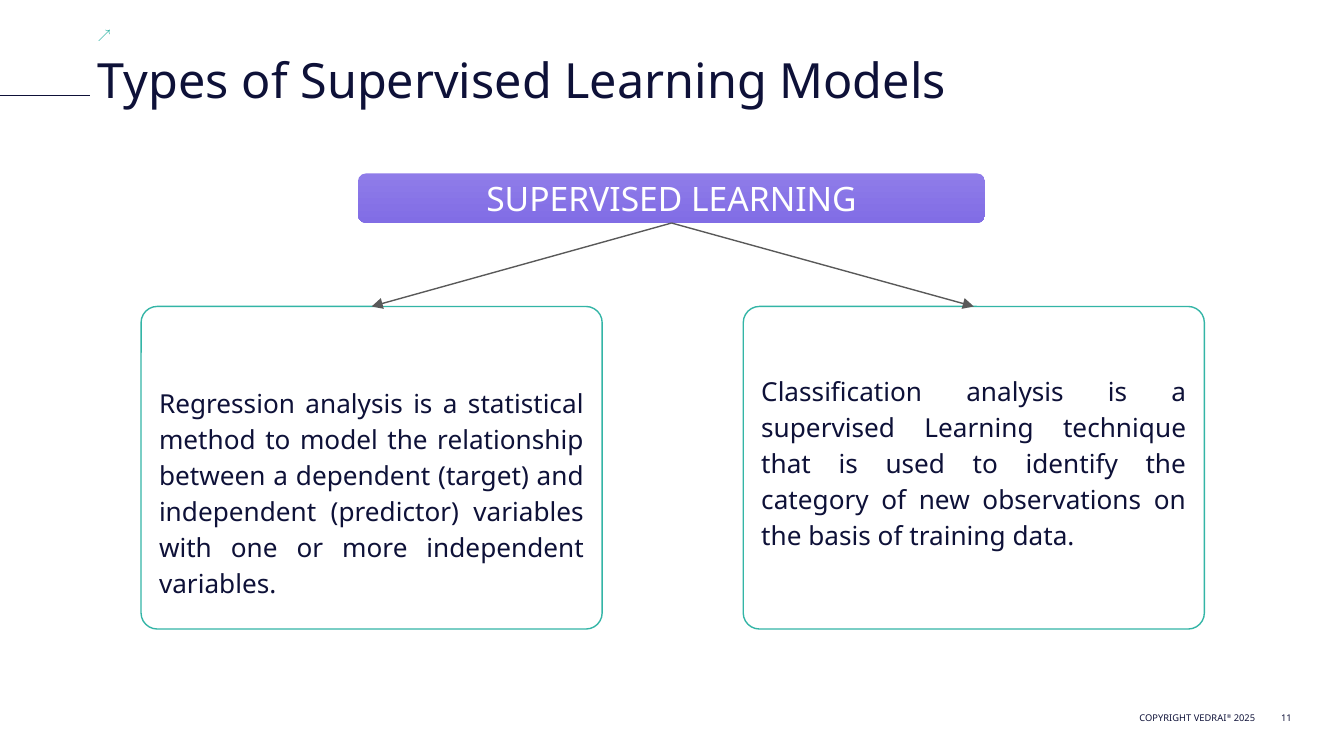
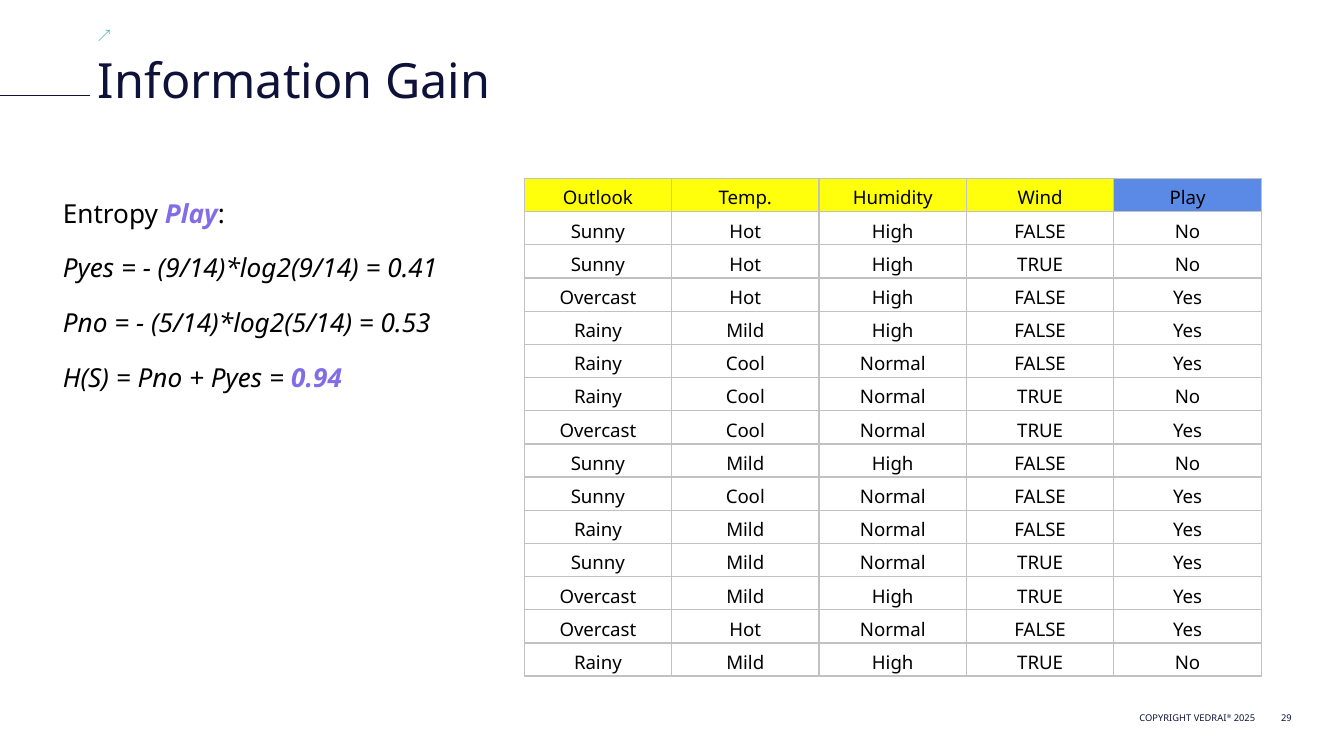
from lxml import etree
from pptx import Presentation
from pptx.dml.color import RGBColor
from pptx.enum.shapes import MSO_CONNECTOR, MSO_SHAPE
from pptx.enum.text import MSO_ANCHOR, PP_ALIGN
from pptx.oxml.ns import qn
from pptx.util import Pt

STRAIGHT = MSO_CONNECTOR.STRAIGHT
ROUNDED = MSO_SHAPE.ROUNDED_RECTANGLE
TOP, MIDDLE, BOTTOM = MSO_ANCHOR.TOP, MSO_ANCHOR.MIDDLE, MSO_ANCHOR.BOTTOM
LEFT, CENTER, RIGHT, JUSTIFY = PP_ALIGN.LEFT, PP_ALIGN.CENTER, PP_ALIGN.RIGHT, PP_ALIGN.JUSTIFY
TOP_SIDE, BOTTOM_SIDE = 0, 2

FONT = "Noto Sans"
COLORS = {
    "navy": "0E1138", "teal": "00A491", "outline": "33B5A6", "purple": "826DE6",
    "banner_top": "8F7CE9", "banner_bottom": "816DE5", "white": "FFFFFF",
    "black": "000000", "arrow": "595959", "grid": "C1C1C1",
    "feature": "FFFF0B", "target": "5B89E6",
}
SPACING = 1.15

WEATHER = """
Outlook Temp. Humidity Wind Play
Sunny Hot High FALSE No
Sunny Hot High TRUE No
Overcast Hot High FALSE Yes
Rainy Mild High FALSE Yes
Rainy Cool Normal FALSE Yes
Rainy Cool Normal TRUE No
Overcast Cool Normal TRUE Yes
Sunny Mild High FALSE No
Sunny Cool Normal FALSE Yes
Rainy Mild Normal FALSE Yes
Sunny Mild Normal TRUE Yes
Overcast Mild High TRUE Yes
Overcast Hot Normal FALSE Yes
Rainy Mild High TRUE No
"""


def rgb(name):
    return RGBColor.from_string(COLORS[name])


class Deck:
    def __init__(self):
        self.prs = Presentation()
        self.prs.slide_width, self.prs.slide_height = Pt(720), Pt(405)
        self.slide = None

    def new_slide(self, title, number):
        self.slide = self.prs.slides.add_slide(self.prs.slide_layouts[6])
        self.text(["↗"], (52.5, 14.4, 13, 16.5), 7, "teal", insets=(0, 0, 5, 3))
        self.line((0, 51.1), (48.2, 51.1), "navy")
        self.text([["COPYRIGHT VEDRAI", ("®", {"baseline": 30000}), " 2025"]],
                  (576, 375.8, 96.5, 11.5), 5, align=RIGHT, anchor=BOTTOM, spacing=SPACING)
        self.text([str(number)], (674, 375.8, 18, 11.5), 5, align=RIGHT, anchor=BOTTOM)
        self.text([title], (52.5, 26.6, 607.7, 26.6), 26)

    def fill_text(self, frame, paragraphs, size, color="navy", align=LEFT, spacing=None,
                  before=0, italic=None):
        """Fill a text frame; a paragraph is a string or a list of strings and (text, look) pairs."""
        for index, content in enumerate(paragraphs):
            paragraph = frame.add_paragraph() if index else frame.paragraphs[0]
            paragraph.alignment = align
            if spacing:
                paragraph.line_spacing = spacing
            if index and before:
                paragraph.space_before = Pt(before)
            font = paragraph.font
            font.name, font.size, font.italic = FONT, Pt(size), italic
            font.color.rgb = rgb(color)
            for part in [content] if isinstance(content, str) else content:
                words, look = (part, {}) if isinstance(part, str) else part
                run = paragraph.add_run()
                run.text = words
                if "color" in look:
                    run.font.color.rgb = rgb(look["color"])
                if "bold" in look:
                    run.font.bold = look["bold"]
                if "italic" in look:
                    run.font.italic = look["italic"]
                if "baseline" in look:
                    run.font._element.set("baseline", str(look["baseline"]))

    def set_frame(self, frame, insets, anchor):
        frame.word_wrap = True
        frame.vertical_anchor = anchor
        (frame.margin_left, frame.margin_top,
         frame.margin_right, frame.margin_bottom) = map(Pt, insets)

    def text(self, paragraphs, box, size, color="navy", insets=(0, 0, 0, 0), anchor=TOP, **style):
        frame = self.slide.shapes.add_textbox(*map(Pt, box)).text_frame
        self.set_frame(frame, insets, anchor)
        self.fill_text(frame, paragraphs, size, color, **style)

    def card(self, label, box, size, color="navy", radius=0.05, gradient=None, outline=None,
             insets=(7.2, 7.2, 7.2, 7.2), anchor=MIDDLE, **style):
        card = self.slide.shapes.add_shape(ROUNDED, *map(Pt, box))
        card.shadow.inherit = False
        card.adjustments[0] = radius
        if gradient:
            card.fill.gradient()
            card.fill.gradient_angle = 270
            for stop, name in zip(card.fill.gradient_stops, gradient):
                stop.color.rgb = rgb(name)
        else:
            card.fill.background()
        if outline:
            card.line.color.rgb = rgb(outline)
            card.line.width = Pt(0.75)
        else:
            card.line.fill.background()
        self.set_frame(card.text_frame, insets, anchor)
        self.fill_text(card.text_frame, [label], size, color, **style)
        return card

    def line(self, start, end, color):
        line = self.slide.shapes.add_connector(STRAIGHT, *map(Pt, start + end))
        line.line.color.rgb = rgb(color)
        line.line.width = Pt(0.75)
        etree.SubElement(line._element.spPr, qn("a:effectLst"))
        return line

    def arrow(self, parent, child):
        arrow = self.line((0, 0), (0, 0), "arrow")
        arrow.begin_connect(parent, BOTTOM_SIDE)
        arrow.end_connect(child, TOP_SIDE)
        outline = arrow._element.spPr.find(qn("a:ln"))
        etree.SubElement(outline, qn("a:tailEnd"), type="triangle")

    def cell_borders(self, cell):
        properties = cell._tc.get_or_add_tcPr()
        for side in ("lnL", "lnR", "lnT", "lnB"):
            border = etree.SubElement(properties, qn(f"a:{side}"), w=str(int(Pt(0.83))))
            fill = etree.SubElement(border, qn("a:solidFill"))
            etree.SubElement(fill, qn("a:srgbClr"), val=COLORS["grid"])

    def table(self, rows, left, top, column_width, row_height, header_fills):
        width, height = column_width * len(rows[0]), row_height * len(rows)
        table = self.slide.shapes.add_table(
            len(rows), len(rows[0]), Pt(left), Pt(top), Pt(width), Pt(height)).table
        table.first_row = table.horz_banding = False
        for column in table.columns:
            column.width = Pt(column_width)
        for r, values in enumerate(rows):
            table.rows[r].height = Pt(row_height)
            for c, value in enumerate(values):
                cell = table.cell(r, c)
                cell.margin_left = cell.margin_right = Pt(1.5)
                cell.margin_top = cell.margin_bottom = Pt(1.5)
                self.cell_borders(cell)
                if r == 0:
                    cell.fill.solid()
                    cell.fill.fore_color.rgb = rgb(header_fills[c])
                else:
                    cell.fill.background()
                self.fill_text(cell.text_frame, [value], 10, "black", CENTER, SPACING)


def supervised_models(deck):
    deck.new_slide("Types of Supervised Learning Models", 11)
    card_style = {"outline": "outline", "align": JUSTIFY, "spacing": SPACING}
    regression = deck.card(
        "Regression analysis is a statistical method to model the relationship between "
        "a dependent (target) and independent (predictor) variables with one or more "
        "independent variables.",
        (75.6, 164.2, 247, 172.8), 14, insets=(7.2, 38.2, 7.2, 7.2), anchor=TOP, **card_style)
    classification = deck.card(
        "Classification analysis is a supervised Learning technique that is used to identify "
        "the category of new observations on the basis of training data.",
        (398.2, 164.2, 247, 172.8), 14, insets=(7.2, 38.2, 7.2, 45.5), **card_style)
    supervised = deck.card(
        "SUPERVISED LEARNING", (191.7, 92.9, 336.2, 26.6), 18, "white", radius=0.17,
        gradient=("banner_top", "banner_bottom"), align=CENTER)
    for model in (regression, classification):
        deck.arrow(supervised, model)


def information_gain(deck):
    deck.new_slide("Information Gain", 29)
    deck.table([row.split() for row in WEATHER.strip().splitlines()],
               280.8, 95.6, 79, 17.8, ["feature"] * 4 + ["target"])
    accent = {"color": "purple", "bold": True}
    upright = {"italic": False}
    deck.text(
        [[("Entropy ", upright), ("Play", accent), (":", upright)],
         "Pyes = - (9/14)*log2(9/14) = 0.41",
         "Pno = - (5/14)*log2(5/14) = 0.53",
         ["H(S) = Pno + Pyes = ", ("0.94", accent)]],
        (26.6, 95.8, 232.6, 177), 14, "black", insets=(7.2, 7.2, 7.2, 7.2),
        spacing=SPACING, before=10, italic=True)


def main():
    deck = Deck()
    supervised_models(deck)
    information_gain(deck)
    deck.prs.save("out.pptx")


if __name__ == "__main__":
    main()
